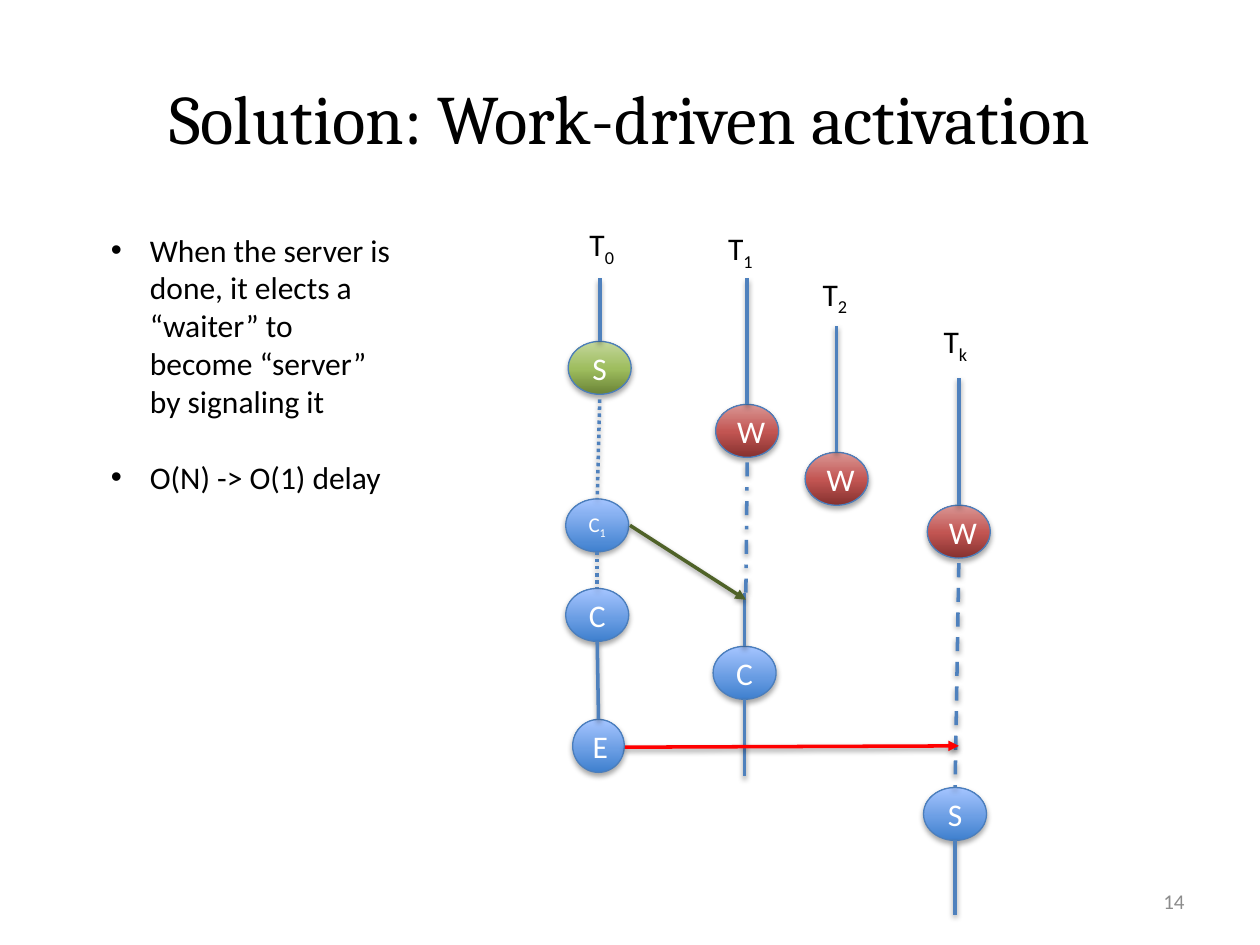
"""Build the slide on work-driven activation with its thread timelines."""
import copy

import pptx
import pptx.dml.color
import pptx.enum.dml
import pptx.enum.shapes
import pptx.enum.text
import pptx.oxml
import pptx.oxml.ns
import pptx.util

Inches, Pt = pptx.util.Inches, pptx.util.Pt
ALIGN = pptx.enum.text.PP_ALIGN
DASH = pptx.enum.dml.MSO_LINE

TITLE = "Solution: Work-driven activation"
BULLETS = [
    "When the server is done, it elects a “waiter” to become “server” by signaling it",
    "O(N) -> O(1) delay",
]
PAGE_NUMBER = "14"

GREEN = [(0, "6A8336"), (0.48, "9EBD5E"), (1, "C3D69B")]
RED = [(0, "85312F"), (0.48, "C25552"), (1, "D99694")]
BLUE = [(0, "3F80CE"), (1, "A4C4FF")]
THREAD, SIGNAL, HANDOFF = "4F81BD", "FF0000", "4F6228"

NODE_WIDTH, NODE_HEIGHT = 0.5, 0.42
LABELS = [("0", 4.58, 1.74), ("1", 5.68, 1.77), ("2", 6.43, 2.13), ("k", 7.39, 2.51)]
# name: centre, top, width, letter, subscript, gradient
NODES = {
    "server 0": (4.76, 2.71, NODE_WIDTH, "S", "", GREEN),
    "first client": (4.74, 3.96, NODE_WIDTH, "C", "1", BLUE),
    "client 0": (4.74, 4.67, NODE_WIDTH, "C", "", BLUE),
    "end 0": (4.75, 5.71, 0.41, "E", "", BLUE),
    "waiter 1": (5.93, 3.21, NODE_WIDTH, "W", "", RED),
    "client 1": (5.91, 5.13, NODE_WIDTH, "C", "", BLUE),
    "waiter 2": (6.64, 3.59, NODE_WIDTH, "W", "", RED),
    "waiter k": (7.61, 4.01, NODE_WIDTH, "W", "", RED),
    "server k": (7.58, 6.25, NODE_WIDTH, "S", "", BLUE),
}
# start, end (a point or the node whose top it meets), dash
THREAD_LINES = [
    ((4.76, 2.21), "server 0", None),
    ((4.76, 3.17), "first client", DASH.ROUND_DOT),
    ((4.74, 4.38), "client 0", DASH.ROUND_DOT),
    ((4.74, 5.09), "end 0", None),
    ((5.93, 2.21), "waiter 1", None),
    ((5.93, 3.67), (5.92, 4.71), DASH.DASH_DOT),
    ((5.91, 4.71), "client 1", None),
    ((5.91, 5.55), (5.91, 6.16), None),
    ((6.64, 2.59), "waiter 2", None),
    ((7.61, 3), "waiter k", None),
    ((7.61, 4.47), "server k", DASH.DASH),
    ((7.58, 6.67), (7.58, 7.26), None),
]
ARROWS = [((4.96, 5.93), (7.61, 5.92), SIGNAL), ((5, 4.17), (5.92, 4.76), HANDOFF)]


def color(value):
    return pptx.dml.color.RGBColor.from_string(value)


def format_font(font, size, value, name="Calibri"):
    font.size, font.name = Pt(size), name
    font.color.rgb = color(value)


def place(shape, left, top, width, height):
    shape.left, shape.top = Inches(left), Inches(top)
    shape.width, shape.height = Inches(width), Inches(height)


def add_shadow(shape, distance, opacity):
    properties = shape._element.spPr
    for effects in properties.findall(pptx.oxml.ns.qn("a:effectLst")):
        properties.remove(effects)
    properties.append(pptx.oxml.parse_xml(
        f'<a:effectLst {pptx.oxml.ns.nsdecls("a")}>'
        f'<a:outerShdw blurRad="{Pt(3.1)}" dist="{Pt(distance)}" dir="5400000" rotWithShape="0">'
        f'<a:srgbClr val="000000"><a:alpha val="{opacity * 1000}"/></a:srgbClr>'
        '</a:outerShdw></a:effectLst>'))


def write_symbol(paragraph, letter, subscript, size, value):
    paragraph.text = letter
    if subscript:
        run = paragraph.add_run()
        run.text = subscript
        run._r.get_or_add_rPr().set("baseline", "-25000")
    for run in paragraph.runs:
        format_font(run.font, size, value)


def add_node(slide, centre, top, width, letter, subscript, gradient):
    shape = slide.shapes.add_shape(
        pptx.enum.shapes.MSO_SHAPE.OVAL, Inches(centre - width / 2), Inches(top),
        Inches(width), Inches(NODE_HEIGHT))
    shape.fill.gradient()
    shape.fill.gradient_angle = 90
    stop_list = shape._element.spPr.find(".//" + pptx.oxml.ns.qn("a:gsLst"))
    while len(stop_list) < len(gradient):
        stop_list.append(copy.deepcopy(stop_list[0]))
    for stop, (position, value) in zip(shape.fill.gradient_stops, gradient):
        stop.position = position
        stop.color.rgb = color(value)
    shape.line.color.rgb = color("4B7EBC")
    shape.line.width = Pt(0.75)
    add_shadow(shape, 1.8, 35)
    paragraph = shape.text_frame.paragraphs[0]
    paragraph.alignment = ALIGN.CENTER
    write_symbol(paragraph, letter, subscript, 12 if subscript else 18, "FFFFFF")
    return shape


def add_line(slide, start, end, value, dash=None):
    line = slide.shapes.add_connector(
        pptx.enum.shapes.MSO_CONNECTOR.STRAIGHT, *map(Inches, start + end))
    line.line.color.rgb = color(value)
    line.line.width = Pt(2)
    if dash:
        line.line.dash_style = dash
    add_shadow(line, 1.6, 38)
    return line


def add_text_box(slide, left, top, width, height):
    frame = slide.shapes.add_textbox(*map(Inches, (left, top, width, height))).text_frame
    frame.word_wrap = True
    return frame


def add_title_and_bullets(slide):
    title, body = slide.shapes.title, slide.placeholders[1]
    place(title, 0.5, 0.3, 9, 1.25)
    title.text_frame.text = TITLE
    format_font(title.text_frame.paragraphs[0].runs[0].font, 39.6, "000000", "Cambria")
    place(body, 0.78, 1.78, 2.47, 2.22)
    body.text_frame.text = "\n".join(BULLETS)
    for shape in (title, body):
        shape.text_frame.auto_size = pptx.enum.text.MSO_AUTO_SIZE.NONE
    for index, paragraph in enumerate(body.text_frame.paragraphs):
        properties = paragraph._p.get_or_add_pPr()
        properties.set("marL", str(Inches(0.31)))
        properties.set("indent", str(-Inches(0.31)))
        paragraph.space_before = Pt(22 * index)
        format_font(paragraph.runs[0].font, 18, "000000")


def add_timelines(slide):
    nodes = {name: add_node(slide, *node) for name, node in NODES.items()}
    for start, end, dash in THREAD_LINES:
        if end in nodes:
            line = add_line(slide, start, NODES[end][:2], THREAD, dash)
            line.end_connect(nodes[end], 0)
        else:
            add_line(slide, start, end, THREAD, dash)
    for start, end, value in ARROWS:
        arrow = add_line(slide, start, end, value)
        arrow.line._get_or_add_ln().append(pptx.oxml.parse_xml(
            f'<a:tailEnd {pptx.oxml.ns.nsdecls("a")} type="triangle"/>'))
    for subscript, left, top in LABELS:
        frame = add_text_box(slide, left, top, NODE_WIDTH, NODE_HEIGHT)
        write_symbol(frame.paragraphs[0], "T", subscript, 18, "000000")


def add_page_number(slide):
    frame = add_text_box(slide, 8.33, 6.95, 1.17, 0.4)
    frame.vertical_anchor = pptx.enum.text.MSO_ANCHOR.MIDDLE
    frame.text = PAGE_NUMBER
    frame.paragraphs[0].alignment = ALIGN.RIGHT
    format_font(frame.paragraphs[0].runs[0].font, 12, "8C8C8C")


def main():
    presentation = pptx.Presentation()
    presentation.slide_width, presentation.slide_height = Inches(10), Inches(7.5)
    slide = presentation.slides.add_slide(presentation.slide_layouts[1])
    add_title_and_bullets(slide)
    add_timelines(slide)
    add_page_number(slide)
    presentation.save("out.pptx")


if __name__ == "__main__":
    main()
